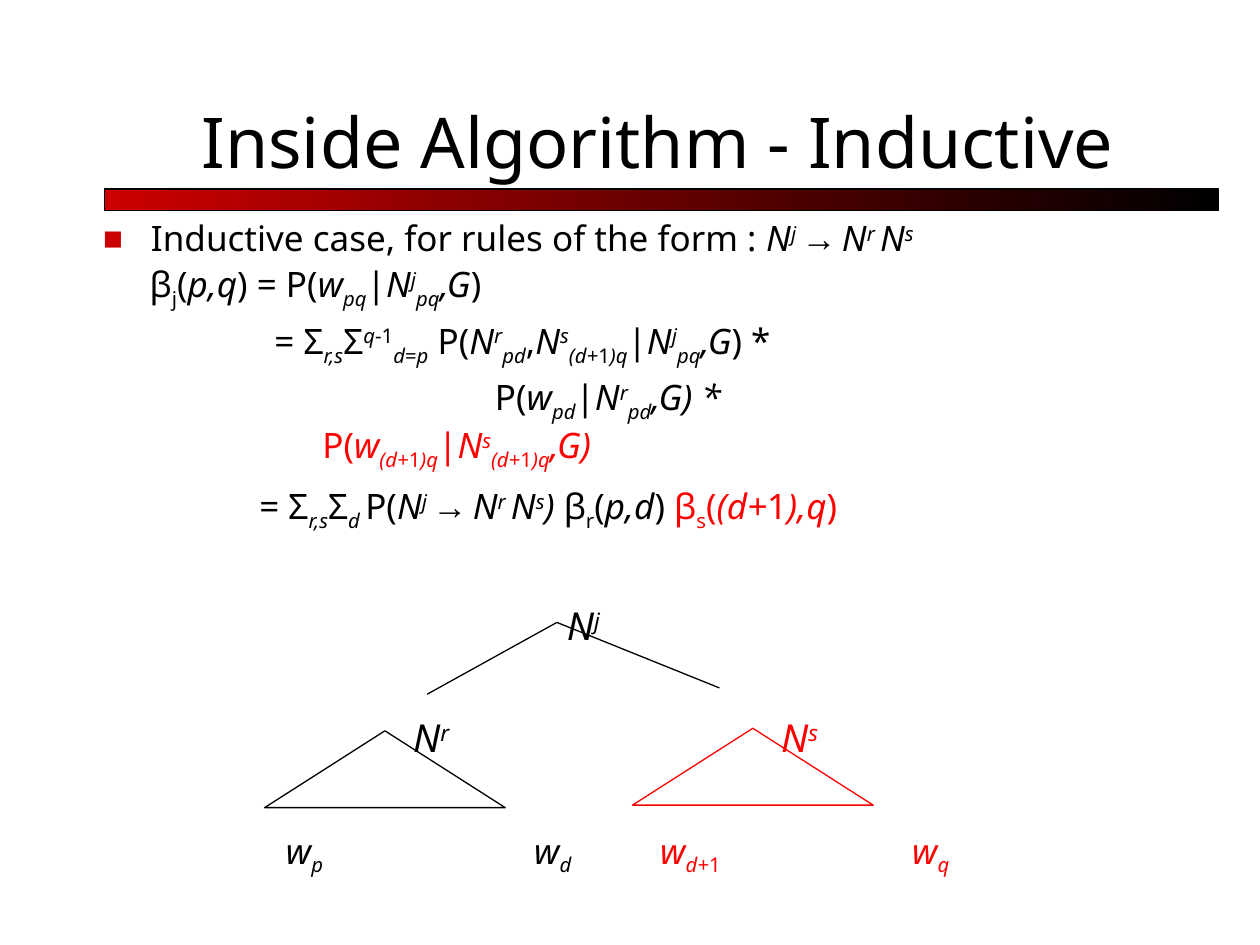
from dataclasses import dataclass, replace
from itertools import groupby

from lxml.etree import SubElement
from pptx import Presentation
from pptx.dml.color import RGBColor
from pptx.enum.shapes import MSO_CONNECTOR, MSO_SHAPE
from pptx.enum.text import MSO_ANCHOR, MSO_AUTO_SIZE, PP_ALIGN
from pptx.oxml.ns import qn
from pptx.util import Inches, Pt

COLORS = {"black": "000000", "red": "FF0000", "accent": "CC0000"}
FONT = "Noto Sans"
UPRIGHT_IN_MATH = "1=-"


@dataclass
class Run:
    text: str
    italic: bool = False
    baseline: int = 0
    color: str = "black"
    font: str = FONT


@dataclass
class Line:
    runs: list[Run]
    indent: float = 0
    before: float = 5
    bullet: bool = False


@dataclass
class Label:
    runs: list[Run]
    left: float
    top: float
    size: int


@dataclass
class Triangle:
    left: float
    top: float
    color: str


@dataclass
class Branch:
    end_x: float
    end_y: float


# Formula notation
def plain(text: str, baseline: int = 0) -> list[Run]:
    return [Run(text, baseline=baseline)]


def math(text: str, baseline: int = 0) -> list[Run]:
    groups = groupby(text, key=lambda letter: letter in UPRIGHT_IN_MATH)
    return [Run("".join(part), not upright, baseline) for upright, part in groups]


def term(name: str, up: str = "", down: str = "") -> list[Run]:
    return math(name) + math(up, 30) + math(down, -25)


def beta(index: str, arguments: str) -> list[Run]:
    return plain("β") + plain(index, -25) + plain("(") + math(arguments) + plain(")")


def red(runs: list[Run]) -> list[Run]:
    return [replace(run, color="red") for run in runs]


def rule() -> list[Run]:
    arrow = [Run("→", italic=True, font="Arial")] + plain(" ", 30)
    return term("N", "j ") + arrow + term("N", "r ") + term("N", "s")


def given_parent() -> list[Run]:
    return plain("|") + term("N", "j", "pq") + math(",G")


def inside(words: str, node: str, ending: str) -> list[Run]:
    return (plain("P(") + term("w", down=words) + plain("|")
            + term("N", node, words) + math(ending))


LINES = [
    Line(plain("Inductive case, for rules of the form : ") + rule(),
         0.38, 0, bullet=True),
    Line(beta("j", "p,q") + plain(" = P(") + term("w", down="pq")
         + given_parent() + plain(")"), 0.37, 2.5),
    Line(plain("= Σ") + term("", down="r,s") + plain("Σ") + term("", "q-1", "d=p")
         + plain(" P(") + term("N", "r", "pd") + plain(",")
         + term("N", "s", "(d+1)q") + given_parent() + plain(") *"), 1.36),
    Line(inside("pd", "r", ",G) *"), 3.11),
    Line(red(inside("(d+1)q", "s", ",G)")), 1.74, 0),
    Line(plain("= Σ") + term("", down="r,s") + plain("Σ") + term("", down="d ")
         + plain("P(") + rule() + math(") ") + beta("r", "p,d") + plain(" ")
         + red(beta("s", "(d+1),q")), 1.24, 7.5),
]
LABELS = [
    Label(term("N", "j"), 4.5, 4.78, 22),
    Label(term("N", "r"), 3.28, 5.67, 22),
    Label(red(term("N", "s")), 6.2, 5.67, 22),
    Label(term("w", down="p"), 2.27, 6.58, 20),
    Label(term("w", down="d"), 4.24, 6.58, 20),
    Label(red(term("w", down="d+1")), 5.24, 6.58, 20),
    Label(red(term("w", down="q")), 7.24, 6.58, 20),
]
TRIANGLES = [Triangle(2.1, 5.8, "black"), Triangle(5.02, 5.78, "red")]
ROOT = (4.42, 4.94)
BRANCHES = [Branch(3.39, 5.51), Branch(5.71, 5.46)]


def rgb(name: str) -> RGBColor:
    return RGBColor.from_string(COLORS[name])


def set_outline(shape, color: str) -> None:
    shape.line.color.rgb = rgb(color)
    shape.line.width = Pt(0.75)


def add_title(slide, text: str) -> None:
    title = slide.shapes.title
    title.left, title.top = Inches(1.5), Inches(0.42)
    title.width, title.height = Inches(8.5), Inches(1.08)
    frame = title.text_frame
    frame.text = text
    frame.auto_size = MSO_AUTO_SIZE.NONE
    frame.vertical_anchor = MSO_ANCHOR.BOTTOM
    paragraph = frame.paragraphs[0]
    paragraph.alignment = PP_ALIGN.LEFT
    font = paragraph.runs[0].font
    font.name, font.size, font.color.rgb = FONT, Pt(40), rgb("black")


def add_bar(slide) -> None:
    bar = slide.shapes.add_shape(MSO_SHAPE.RECTANGLE, Inches(0.83), Inches(1.5),
                                 Inches(8.84), Inches(0.17))
    bar.shadow.inherit = False
    bar.fill.gradient()
    bar.fill.gradient_angle = 0
    for stop, color in zip(bar.fill.gradient_stops, ("accent", "black")):
        stop.color.rgb = rgb(color)
    set_outline(bar, "black")


def add_runs(paragraph, runs: list[Run], size: int) -> None:
    for part in runs:
        run = paragraph.add_run()
        run.text = part.text
        font = run.font
        font.name, font.size, font.italic = part.font, Pt(size), part.italic
        font.color.rgb = rgb(part.color)
        if part.baseline:
            font._element.set("baseline", str(part.baseline * 1000))


def format_paragraph(paragraph, line: Line) -> None:
    paragraph.space_before = Pt(line.before)
    properties = paragraph._p.get_or_add_pPr()
    properties.set("marL", str(Inches(line.indent)))
    properties.set("indent", str(-Inches(line.indent) if line.bullet else 0))
    if line.bullet:
        color = SubElement(properties, qn("a:buClr"))
        SubElement(color, qn("a:srgbClr"), val=COLORS["accent"])
        SubElement(properties, qn("a:buSzPct"), val="60000")
        SubElement(properties, qn("a:buFont"), typeface=FONT)
        SubElement(properties, qn("a:buChar"), char="■")


def add_lines(slide, lines: list[Line]) -> None:
    box = slide.shapes.add_textbox(Inches(0.72), Inches(1.67), Inches(8.5), Inches(2.8))
    frame = box.text_frame
    frame.word_wrap = True
    for number, line in enumerate(lines):
        paragraph = frame.add_paragraph() if number else frame.paragraphs[0]
        format_paragraph(paragraph, line)
        add_runs(paragraph, line.runs, 20)


def add_label(slide, label: Label) -> None:
    box = slide.shapes.add_textbox(Inches(label.left), Inches(label.top),
                                   Inches(0.6), Inches(0.42))
    frame = box.text_frame
    frame.word_wrap = True
    frame.margin_left = frame.margin_right = frame.margin_top = frame.margin_bottom = 0
    add_runs(frame.paragraphs[0], label.runs, label.size)


def add_triangle(slide, triangle: Triangle) -> None:
    shape = slide.shapes.add_shape(MSO_SHAPE.ISOSCELES_TRIANGLE, Inches(triangle.left),
                                   Inches(triangle.top), Inches(1.91), Inches(0.61))
    shape.shadow.inherit = False
    shape.fill.background()
    set_outline(shape, triangle.color)


def add_branch(slide, branch: Branch) -> None:
    connector = slide.shapes.add_connector(
        MSO_CONNECTOR.STRAIGHT, *map(Inches, (*ROOT, branch.end_x, branch.end_y)))
    set_outline(connector, "black")
    SubElement(connector._element.spPr, qn("a:effectLst"))


def main() -> None:
    presentation = Presentation()
    presentation.slide_width, presentation.slide_height = Inches(10), Inches(7.5)
    slide = presentation.slides.add_slide(presentation.slide_layouts[5])
    add_bar(slide)
    add_title(slide, "Inside Algorithm - Inductive")
    add_lines(slide, LINES)
    for label in LABELS:
        add_label(slide, label)
    for triangle in TRIANGLES:
        add_triangle(slide, triangle)
    for branch in BRANCHES:
        add_branch(slide, branch)
    presentation.save("out.pptx")


if __name__ == "__main__":
    main()
